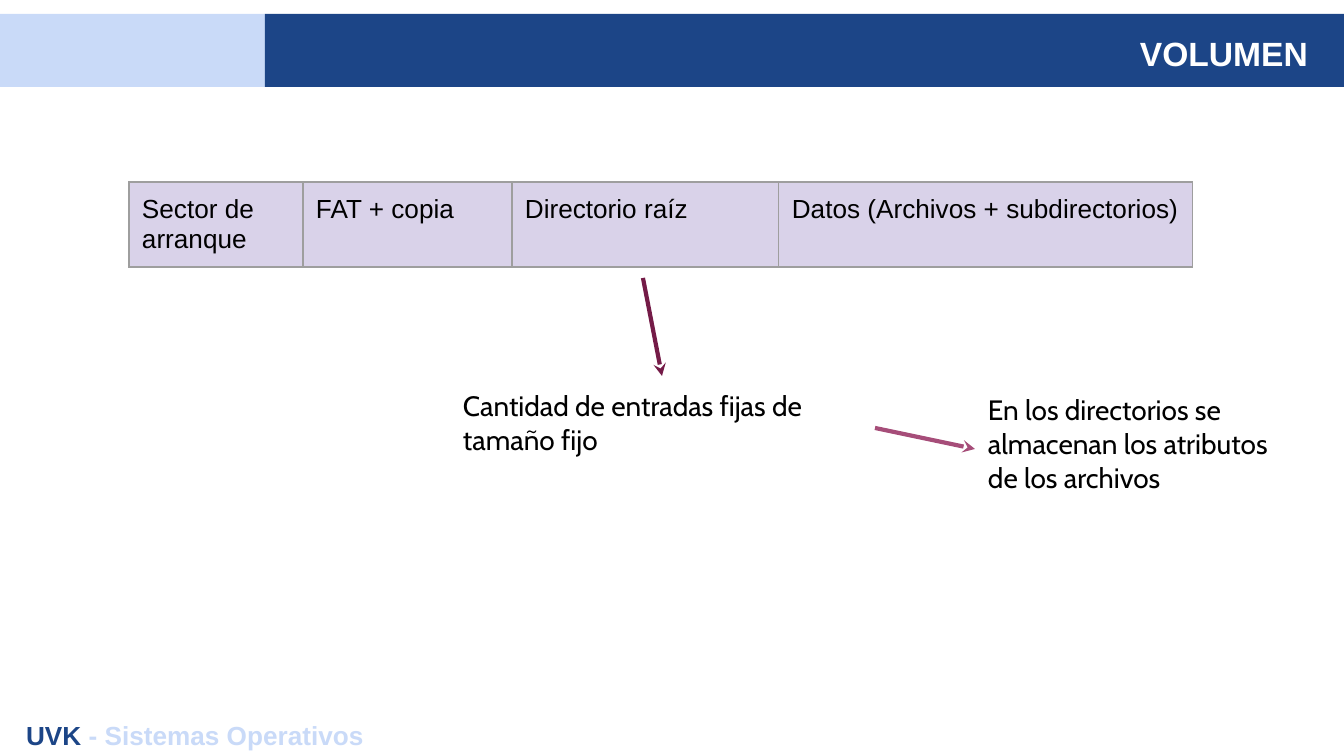
from lxml.etree import SubElement
from pptx import Presentation
from pptx.dml.color import RGBColor
from pptx.enum.shapes import MSO_CONNECTOR as Connector, MSO_SHAPE as Shape
from pptx.enum.text import MSO_ANCHOR as Anchor, PP_ALIGN as Align
from pptx.oxml.ns import qn
from pptx.util import Pt

PX = 914400 / 134.4
WIDTH, HEIGHT = 1344, 756
INSET = 13

NAVY = RGBColor(0x1C, 0x45, 0x87)
SKY = RGBColor(0xC9, 0xDA, 0xF8)
LILAC = RGBColor(0xD9, 0xD2, 0xE9)
GRAY = RGBColor(0x9E, 0x9E, 0x9E)
PLUM = RGBColor(0x74, 0x1B, 0x47)
MAUVE = RGBColor(0xA6, 0x4D, 0x79)
WHITE = RGBColor(0xFF, 0xFF, 0xFF)
BLACK = RGBColor(0, 0, 0)

TITLE = {"name": "Arial", "size": Pt(18), "bold": True}
FOOTER = {"name": "Arial", "size": Pt(14), "bold": True}
CELL = {"name": "Arial", "size": Pt(14), "bold": False}
NOTE = {"name": "Cabin", "size": Pt(15)}

BAND_TOP, BAND_HEIGHT, BAND_SPLIT = 14, 73, 265
BANDS = [(0, BAND_SPLIT, SKY), (BAND_SPLIT, WIDTH - BAND_SPLIT, NAVY)]

# Box, font format, coloured runs, alignment, anchor
TEXTS = [
    ((179, 36, 1142, 50), TITLE, [("VOLUMEN", WHITE)], Align.RIGHT, Anchor.BOTTOM),
    ((13, 706, 1318, 44), FOOTER, [("UVK", NAVY), (" - Sistemas Operativos", SKY)],
     Align.LEFT, Anchor.TOP),
    ((450, 376, 426, 102), NOTE, [("Cantidad de entradas fijas de tamaño fijo", BLACK)],
     Align.LEFT, Anchor.TOP),
    ((975, 380, 308, 138), NOTE,
     [("En los directorios se almacenan los atributos de los archivos", BLACK)],
     Align.LEFT, Anchor.TOP),
]

VOLUME_LEFT, VOLUME_TOP, VOLUME_HEIGHT = 129, 182, 85
VOLUME_PARTS = [
    ("Sector de arranque", 174),
    ("FAT + copia", 209),
    ("Directorio raíz", 267),
    ("Datos (Archivos + subdirectorios)", 414),
]

ARROWS = [((643, 278), (662, 376), PLUM), ((875, 428), (975, 449), MAUVE)]


def emu(*lengths):
    return [round(length * PX) for length in lengths]


def add_run(paragraph, words, color, font_format):
    run = paragraph.add_run()
    run.text = words
    for key, value in font_format.items():
        setattr(run.font, key, value)
    run.font.color.rgb = color


def set_margins(holder):
    for side in ("left", "top", "right", "bottom"):
        setattr(holder, f"margin_{side}", emu(INSET)[0])


def add_band(slide, left, width, color):
    band = slide.shapes.add_shape(
        Shape.RECTANGLE, *emu(left, BAND_TOP, width, BAND_HEIGHT))
    band.shadow.inherit = False
    band.fill.solid()
    band.fill.fore_color.rgb = color
    band.line.fill.background()


def add_text(slide, box, font_format, runs, align, anchor):
    frame = slide.shapes.add_textbox(*emu(*box)).text_frame
    frame.word_wrap = True
    frame.vertical_anchor = anchor
    set_margins(frame)
    paragraph = frame.paragraphs[0]
    paragraph.alignment = align
    for words, color in runs:
        add_run(paragraph, words, color, font_format)


def add_borders(cell):
    properties = cell._tc.get_or_add_tcPr()
    for side in ("lnL", "lnR", "lnT", "lnB"):
        line = SubElement(properties, qn(f"a:{side}"), w=str(Pt(0.75)))
        fill = SubElement(line, qn("a:solidFill"))
        SubElement(fill, qn("a:srgbClr"), val=str(GRAY))


def add_volume(slide):
    total = sum(width for _, width in VOLUME_PARTS)
    volume = slide.shapes.add_table(
        1, len(VOLUME_PARTS),
        *emu(VOLUME_LEFT, VOLUME_TOP, total, VOLUME_HEIGHT)).table
    volume.first_row = volume.horz_banding = False
    for index, (label, width) in enumerate(VOLUME_PARTS):
        volume.columns[index].width = emu(width)[0]
        cell = volume.cell(0, index)
        set_margins(cell)
        add_borders(cell)
        cell.fill.solid()
        cell.fill.fore_color.rgb = LILAC
        add_run(cell.text_frame.paragraphs[0], label, BLACK, CELL)


def add_arrow(slide, start, end, color):
    arrow = slide.shapes.add_connector(Connector.STRAIGHT, *emu(*start, *end))
    arrow.line.color.rgb = color
    arrow.line.width = Pt(2.25)
    SubElement(arrow.line._get_or_add_ln(), qn("a:tailEnd"), type="stealth")
    SubElement(arrow._element.spPr, qn("a:effectLst"))


def main():
    deck = Presentation()
    deck.slide_width, deck.slide_height = emu(WIDTH, HEIGHT)
    slide = deck.slides.add_slide(deck.slide_layouts[6])
    for band in BANDS:
        add_band(slide, *band)
    add_volume(slide)
    for text in TEXTS:
        add_text(slide, *text)
    for arrow in ARROWS:
        add_arrow(slide, *arrow)
    deck.save("out.pptx")


if __name__ == "__main__":
    main()
